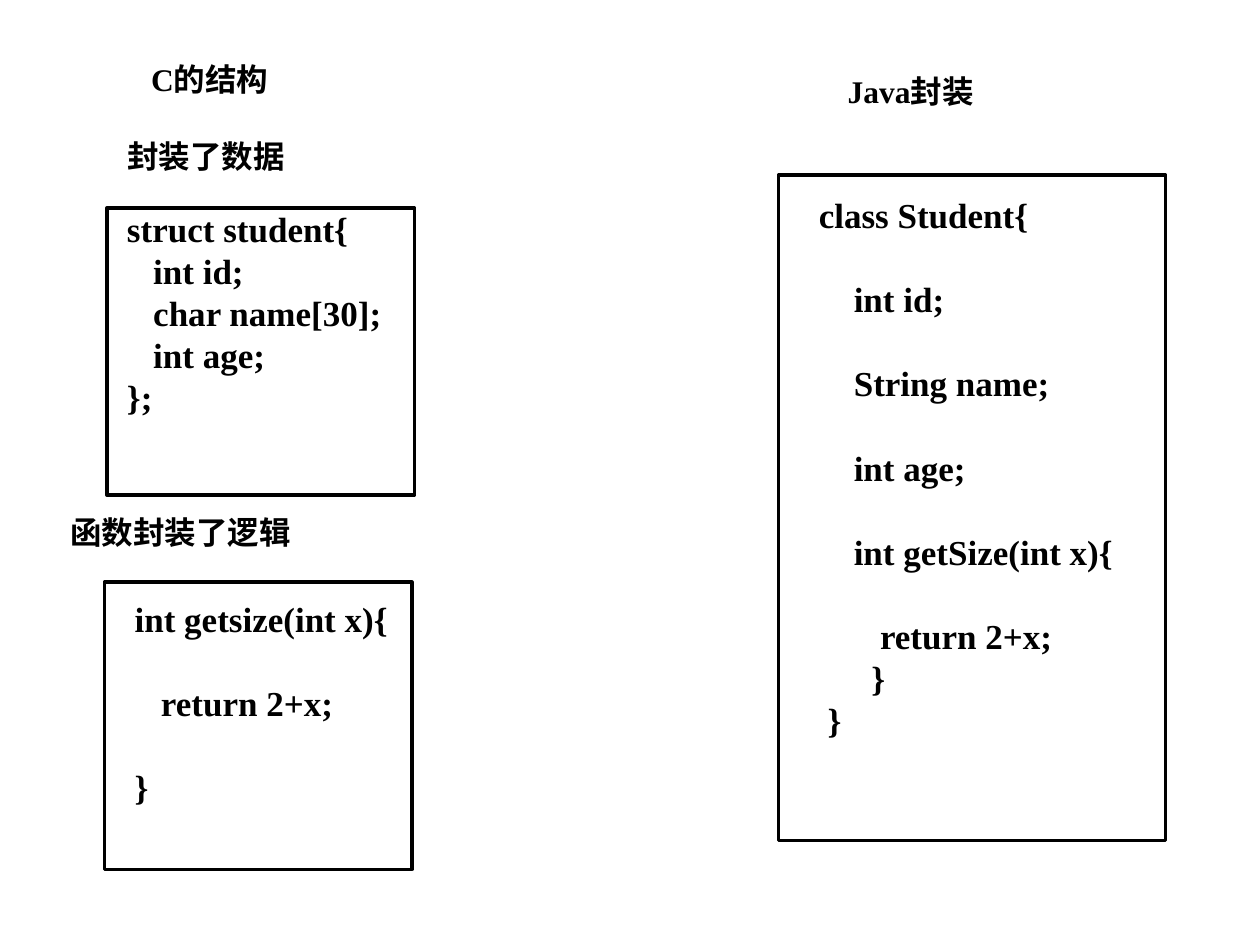
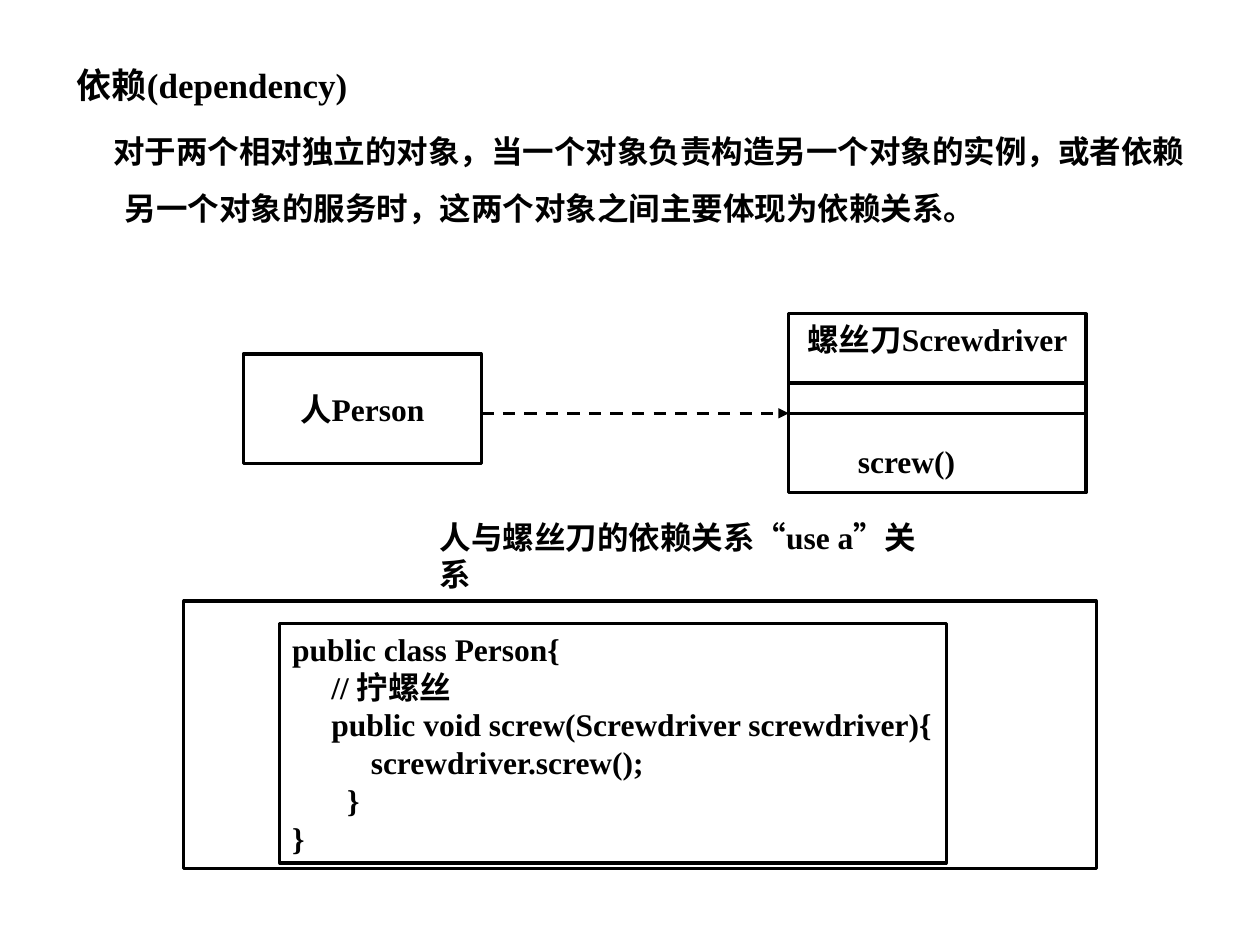
from lxml.etree import SubElement
from pptx import Presentation
from pptx.dml.color import RGBColor
from pptx.enum.dml import MSO_LINE
from pptx.enum.shapes import MSO_CONNECTOR, MSO_SHAPE
from pptx.enum.text import MSO_ANCHOR, MSO_AUTO_SIZE, PP_ALIGN
from pptx.oxml.ns import qn
from pptx.util import Inches, Pt

BLACK = "000000"
LATIN_FONT = "Times New Roman"
CHINESE_FONT = "Noto Sans CJK SC"


def write(shape, text, size, wrap=True):
    """Put bold lines into a shape; an empty line becomes space before the next one."""
    frame = shape.text_frame
    frame.word_wrap = wrap
    blank_lines = 0
    paragraph = None
    for line in text.split("\n"):
        if not line:
            blank_lines += 1
            continue
        paragraph = frame.add_paragraph() if paragraph else frame.paragraphs[0]
        paragraph.text = line
        paragraph.alignment = PP_ALIGN.LEFT
        paragraph.space_before = Pt(1.2 * size * blank_lines)
        blank_lines = 0
        for run in paragraph.runs:
            run.font.name = LATIN_FONT
            run.font.size = Pt(size)
            run.font.bold = True
            run.font.color.rgb = RGBColor.from_string(BLACK)
            SubElement(run.font._element, qn("a:ea"), typeface=CHINESE_FONT)


def outline(shape, weight):
    """Give a box or connector a black line, with neither fill nor shadow."""
    shape.line.color.rgb = RGBColor.from_string(BLACK)
    shape.line.width = Pt(weight)
    if hasattr(shape, "fill"):
        shape.fill.background()
        shape.shadow.inherit = False
    else:
        SubElement(shape._element.spPr, qn("a:effectLst"))


presentation = Presentation()
presentation.slide_width = Inches(10)
presentation.slide_height = Inches(7.5)

# Slide 1: encapsulation in C and in Java
slide = presentation.slides.add_slide(presentation.slide_layouts[6])

code_boxes = [
    (0.85, 1.65, 2.44, 2.28),
    (0.83, 4.62, 2.44, 2.28),
    (6.18, 1.39, 3.07, 5.28),
]
for box in code_boxes:
    outline(slide.shapes.add_shape(MSO_SHAPE.RECTANGLE, *map(Inches, box)), 2)

STRUCT_CODE = """struct student{
   int id;
   char name[30];
   int age;
};"""

FUNCTION_CODE = """int getsize(int x){

   return 2+x;

}"""

CLASS_CODE = """class Student{

    int id;

    String name;

    int age;

    int getSize(int x){

       return 2+x;
      }
 }"""

encapsulation_texts = [
    ("C的结构", 18, (1.1, 0.43, 1.19, 0.4)),
    ("Java封装", 18, (6.63, 0.52, 1.26, 0.4)),
    ("封装了数据", 18, (0.91, 1.04, 1.45, 0.4)),
    ("函数封装了逻辑", 18, (0.46, 4.02, 1.95, 0.4)),
    (STRUCT_CODE, 20, (0.91, 1.6, 2.23, 1.77)),
    (FUNCTION_CODE, 20, (0.97, 4.69, 2.21, 1.77)),
    (CLASS_CODE, 20, (6.4, 1.49, 2.62, 4.44)),
]
for text, size, place in encapsulation_texts:
    write(slide.shapes.add_textbox(*map(Inches, place)), text, size, wrap=False)

# Slide 2: dependency between two objects
slide = presentation.slides.add_slide(presentation.slide_layouts[1])
title = slide.shapes.title
title._element.getparent().remove(title._element)

definition = slide.placeholders[1]
definition.left, definition.top = Inches(0.51), Inches(0.52)
definition.width, definition.height = Inches(9.06), Inches(1.89)
write(definition, "依赖(dependency)\n对于两个相对独立的对象，当一个对象负责构造另一个对象的实例，"
      "或者依赖另一个对象的服务时，这两个对象之间主要体现为依赖关系。", 18)
definition.text_frame.auto_size = MSO_AUTO_SIZE.NONE
heading, explanation = definition.text_frame.paragraphs
heading.runs[0].font.size = Pt(20)
heading.line_spacing = 0.8
explanation.line_spacing = 1.5
explanation.space_before = Pt(4.5)
for paragraph, first_line_indent in ((heading, -0.38), (explanation, -0.09)):
    properties = paragraph._p.get_or_add_pPr()
    properties.set("marL", str(Inches(0.38)))
    properties.set("indent", str(Inches(first_line_indent)))
    SubElement(properties, qn("a:buNone"))

PERSON_CODE = """public class Person{
     // 拧螺丝
     public void screw(Screwdriver screwdriver){
          screwdriver.screw();
       }
}"""

class_boxes = [
    ("人Person", (1.93, 2.81, 1.89, 0.87), PP_ALIGN.CENTER, MSO_ANCHOR.MIDDLE),
    ("", (6.26, 2.49, 2.36, 1.42), PP_ALIGN.LEFT, MSO_ANCHOR.TOP),
    ("", (1.46, 4.77, 7.24, 2.12), PP_ALIGN.LEFT, MSO_ANCHOR.TOP),
    (PERSON_CODE, (2.22, 4.95, 5.29, 1.9), PP_ALIGN.LEFT, MSO_ANCHOR.TOP),
]
for text, place, alignment, anchor in class_boxes:
    box = slide.shapes.add_shape(MSO_SHAPE.RECTANGLE, *map(Inches, place))
    outline(box, 1.75)
    write(box, text, 18)
    box.text_frame.vertical_anchor = anchor
    for paragraph in box.text_frame.paragraphs:
        paragraph.alignment = alignment

dependency_texts = [
    ("螺丝刀Screwdriver", (6.31, 2.49, 2.33, 0.4), False),
    ("screw()", (6.71, 3.46, 0.97, 0.4), False),
    ("人与螺丝刀的依赖关系“use a”关系", (3.39, 4.06, 4.21, 0.4), True),
]
for text, place, wrap in dependency_texts:
    write(slide.shapes.add_textbox(*map(Inches, place)), text, 18, wrap)

for start, end, y, is_arrow in (
    (6.26, 8.62, 3.04, False),
    (6.26, 8.62, 3.28, False),
    (3.82, 6.26, 3.28, True),
):
    connector = slide.shapes.add_connector(
        MSO_CONNECTOR.STRAIGHT, Inches(start), Inches(y), Inches(end), Inches(y))
    outline(connector, 1.75)
    if is_arrow:
        connector.line.dash_style = MSO_LINE.DASH
        SubElement(connector.line._get_or_add_ln(), qn("a:tailEnd"), type="triangle")

presentation.save("out.pptx")
